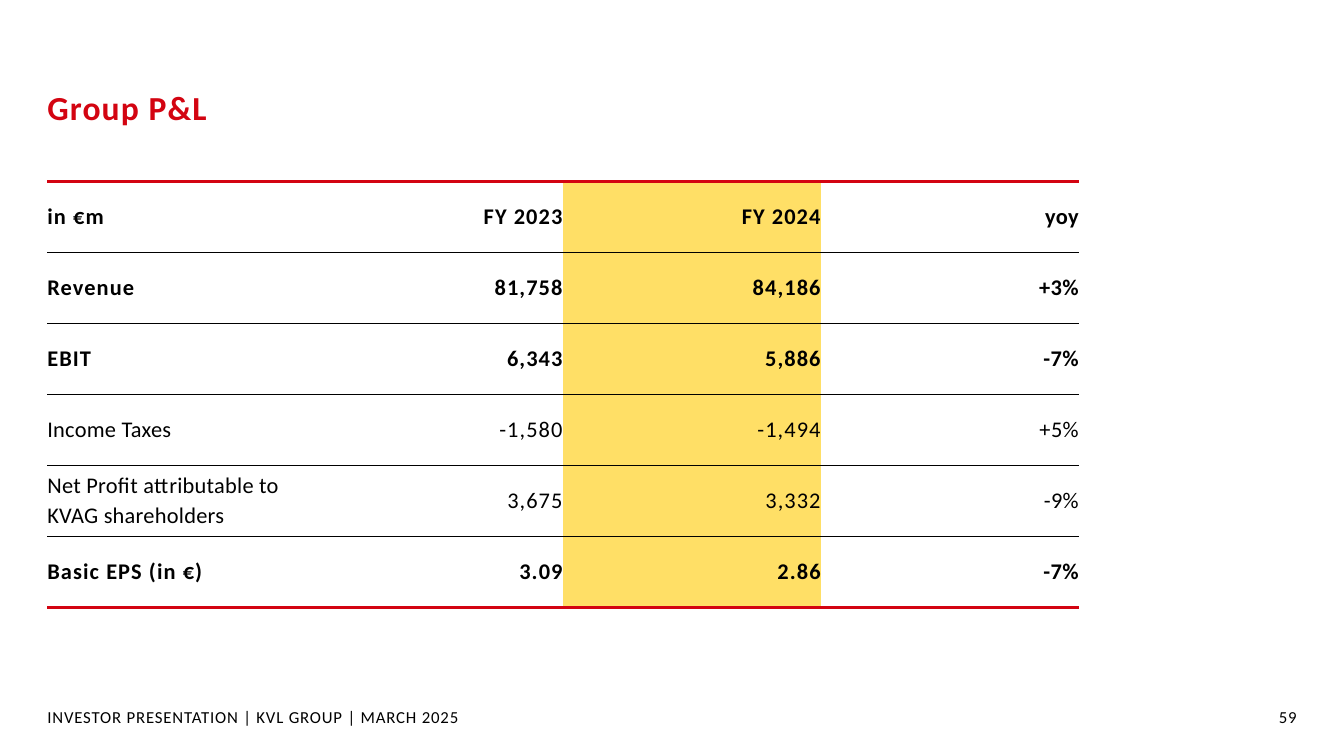
import pptx
import pptx.dml.color
import pptx.enum.text
import pptx.oxml.ns
import pptx.util
from lxml import etree

WIDTH, HEIGHT = 13.33, 7.5
LEFT = 0.47
FONT = "Calibri"
COLORS = {"red": "D30411", "black": "000000", "yellow": "FFDF66"}
COLUMNS = [3.32, 1.79, 2.56, 2.56]
ROW_HEIGHT = 0.705
HIGHLIGHT_COLUMN = 2
ROWS = [
    (True, ["in €m", "FY 2023", "FY 2024", "yoy"]),
    (True, ["Revenue", "81,758", "84,186", "+3%"]),
    (True, ["EBIT", "6,343", "5,886", "-7%"]),
    (False, ["Income Taxes", "-1,580", "-1,494", "+5%"]),
    (False, ["Net Profit attributable to\nKVAG shareholders", "3,675", "3,332", "-9%"]),
    (True, ["Basic EPS (in €)", "3.09", "2.86", "-7%"]),
]
ALIGN = pptx.enum.text.PP_ALIGN
MIDDLE = pptx.enum.text.MSO_ANCHOR.MIDDLE


def color(name):
    """Return the named colour."""
    return pptx.dml.color.RGBColor.from_string(COLORS[name])


def style_paragraph(paragraph, size, color_name="black", bold=False, spacing=0.0, align=ALIGN.LEFT):
    """Format a paragraph and the letter spacing of its runs."""
    paragraph.alignment = align
    paragraph.font.name = FONT
    paragraph.font.size = pptx.util.Pt(size)
    paragraph.font.bold = bold
    paragraph.font.color.rgb = color(color_name)
    for run in paragraph.runs:
        run._r.get_or_add_rPr().set("spc", str(round(spacing * 100)))


def fill_frame(shape, text, **style):
    """Put one line of text in a shape without margins."""
    frame = shape.text_frame
    frame.margin_left = frame.margin_right = frame.margin_top = frame.margin_bottom = 0
    frame.auto_size = pptx.enum.text.MSO_AUTO_SIZE.NONE
    frame.vertical_anchor = MIDDLE
    frame.word_wrap = True
    frame.text = text
    style_paragraph(frame.paragraphs[0], **style)


def add_title(slide, left, top, width, height):
    """Place the slide title."""
    title = slide.shapes.title
    title.left, title.top = pptx.util.Inches(left), pptx.util.Inches(top)
    title.width, title.height = pptx.util.Inches(width), pptx.util.Inches(height)
    fill_frame(title, "Group P&L", size=24, color_name="red", bold=True, spacing=0.8)


def set_border(cell, side, color_name=None, width=0.0):
    """Draw one border of a cell, or hide it when no colour is given."""
    properties = cell._tc.get_or_add_tcPr()
    line = etree.SubElement(properties, pptx.oxml.ns.qn(f"a:ln{side}"))
    line.set("w", str(pptx.util.Pt(width)))
    if color_name is None:
        etree.SubElement(line, pptx.oxml.ns.qn("a:noFill"))
    else:
        fill = etree.SubElement(line, pptx.oxml.ns.qn("a:solidFill"))
        etree.SubElement(fill, pptx.oxml.ns.qn("a:srgbClr")).set("val", COLORS[color_name])


def format_cell(cell, row, column, bold):
    """Set borders, fill and text style of a cell by its place in the table."""
    set_border(cell, "L")
    set_border(cell, "R")
    for side, is_edge in (("T", row == 0), ("B", row == len(ROWS) - 1)):
        set_border(cell, side, *(("red", 2.25) if is_edge else ("black", 1)))
    if column == HIGHLIGHT_COLUMN:
        cell.fill.solid()
        cell.fill.fore_color.rgb = color("yellow")
    else:
        cell.fill.background()
    cell.margin_left = cell.margin_right = cell.margin_top = cell.margin_bottom = 0
    cell.vertical_anchor = MIDDLE
    if column == len(COLUMNS) - 1:
        spacing = 0.3
    else:
        spacing = 0.8 if bold or column else 0.2
    for index, paragraph in enumerate(cell.text_frame.paragraphs):
        if index:
            paragraph.space_before = pptx.util.Pt(1.9)
        style_paragraph(paragraph, 16, bold=bold, spacing=spacing,
                        align=ALIGN.RIGHT if column else ALIGN.LEFT)


def add_results_table(slide, left, top):
    """Add the profit and loss table."""
    frame = slide.shapes.add_table(
        len(ROWS), len(COLUMNS), pptx.util.Inches(left), pptx.util.Inches(top),
        pptx.util.Inches(sum(COLUMNS)), pptx.util.Inches(ROW_HEIGHT * len(ROWS)))
    table = frame.table
    table.first_row = table.horz_banding = False
    for column, width in enumerate(COLUMNS):
        table.columns[column].width = pptx.util.Inches(width)
    for row, (bold, texts) in enumerate(ROWS):
        table.rows[row].height = pptx.util.Inches(ROW_HEIGHT)
        for column, text in enumerate(texts):
            cell = table.cell(row, column)
            cell.text = text
            format_cell(cell, row, column, bold)


def add_footer(slide, left, top, width, height):
    """Add the footer line and the page number at the two ends of a strip."""
    number_width = 0.29
    parts = [
        (left, width - number_width, "INVESTOR PRESENTATION | KVL GROUP | MARCH 2025", ALIGN.LEFT),
        (left + width - number_width, number_width, "59", ALIGN.RIGHT),
    ]
    for part_left, part_width, text, align in parts:
        box = slide.shapes.add_textbox(
            pptx.util.Inches(part_left), pptx.util.Inches(top),
            pptx.util.Inches(part_width), pptx.util.Inches(height))
        fill_frame(box, text, size=12, spacing=0.6, align=align)


def main():
    """Build and save the presentation."""
    presentation = pptx.Presentation()
    presentation.slide_width = pptx.util.Inches(WIDTH)
    presentation.slide_height = pptx.util.Inches(HEIGHT)
    slide = presentation.slides.add_slide(presentation.slide_layouts[5])
    add_title(slide, LEFT, 0.85, 3, 0.43)
    add_results_table(slide, LEFT, 1.8)
    add_footer(slide, LEFT, 6.99, WIDTH - 2 * LEFT, 0.24)
    presentation.save("out.pptx")


if __name__ == "__main__":
    main()
